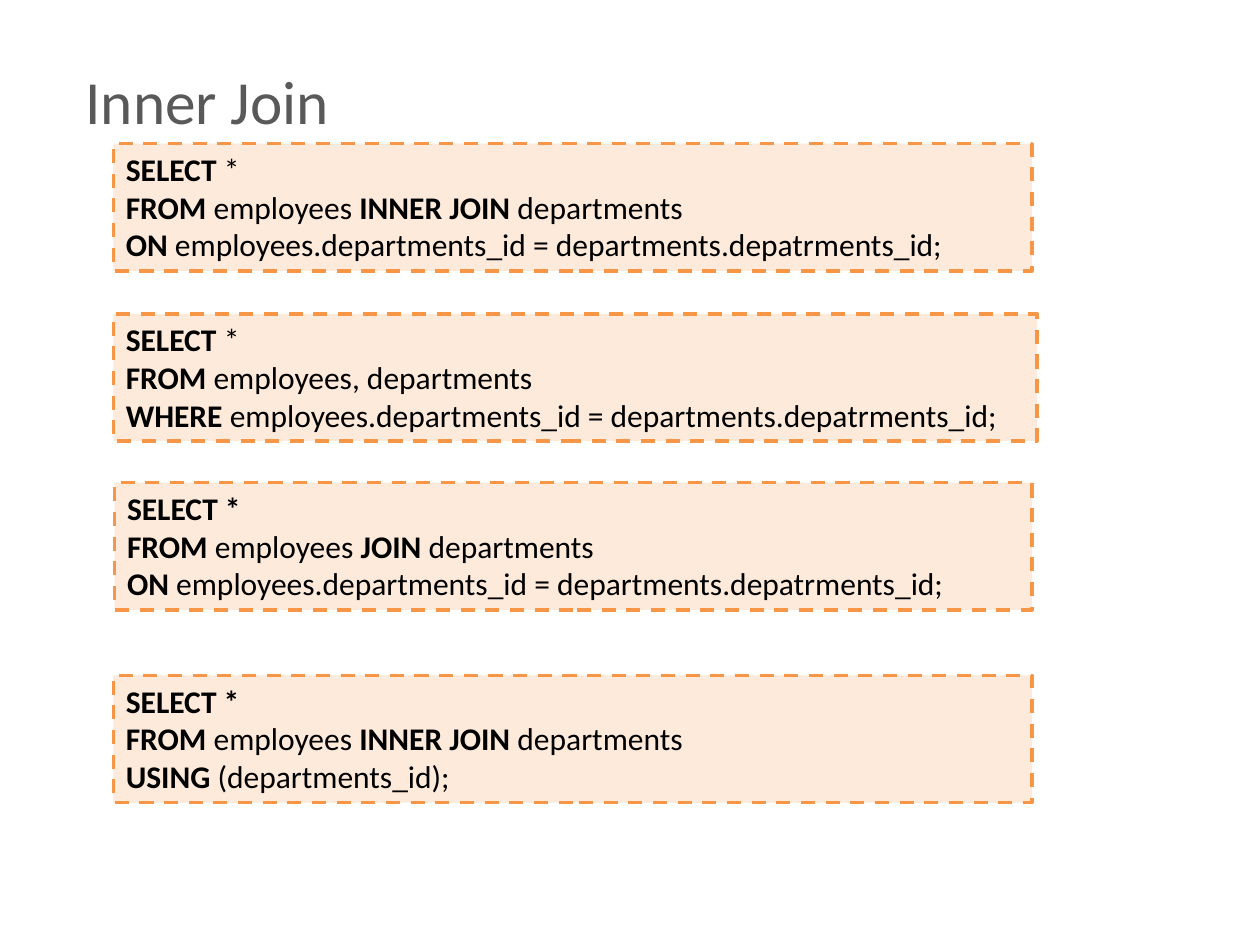
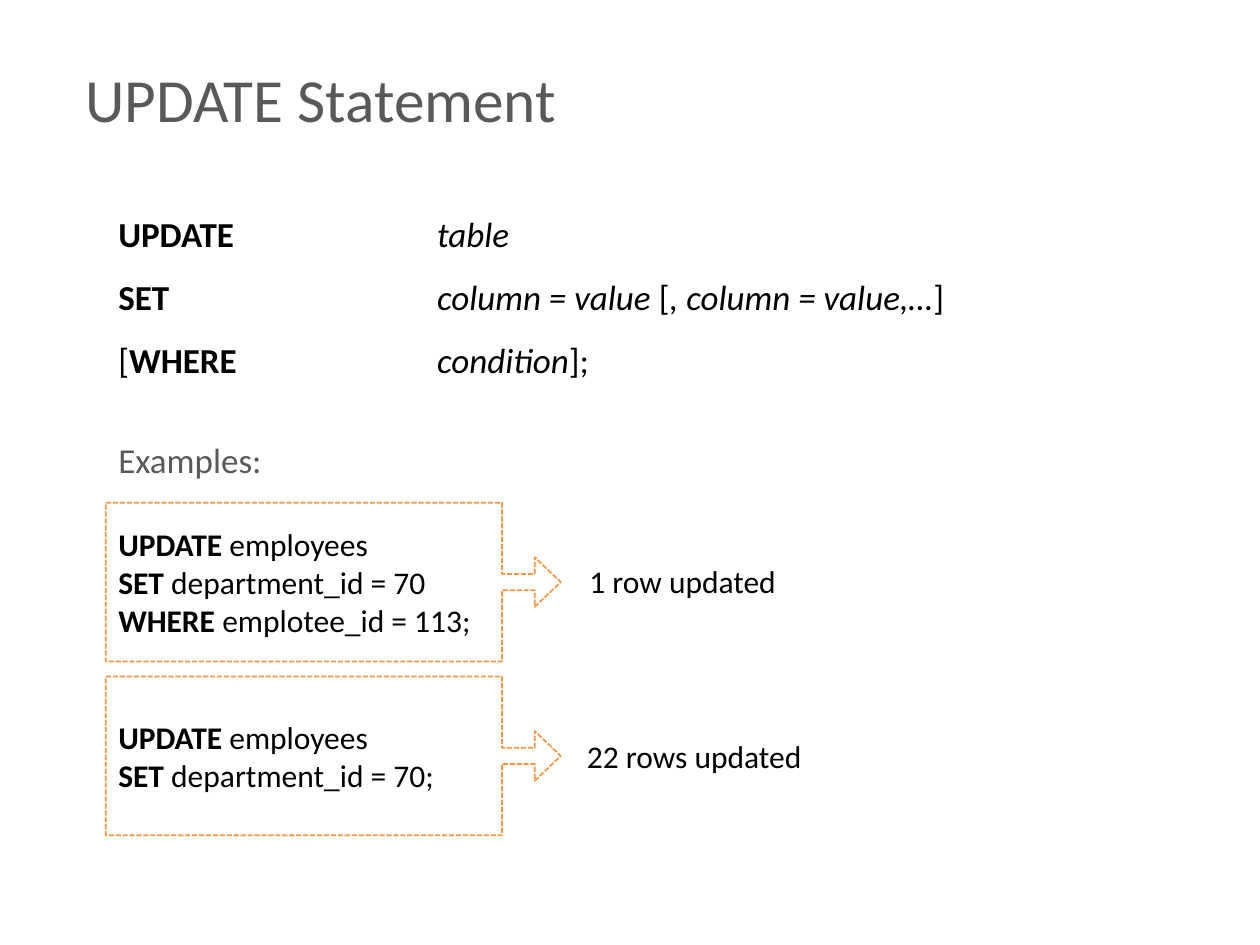
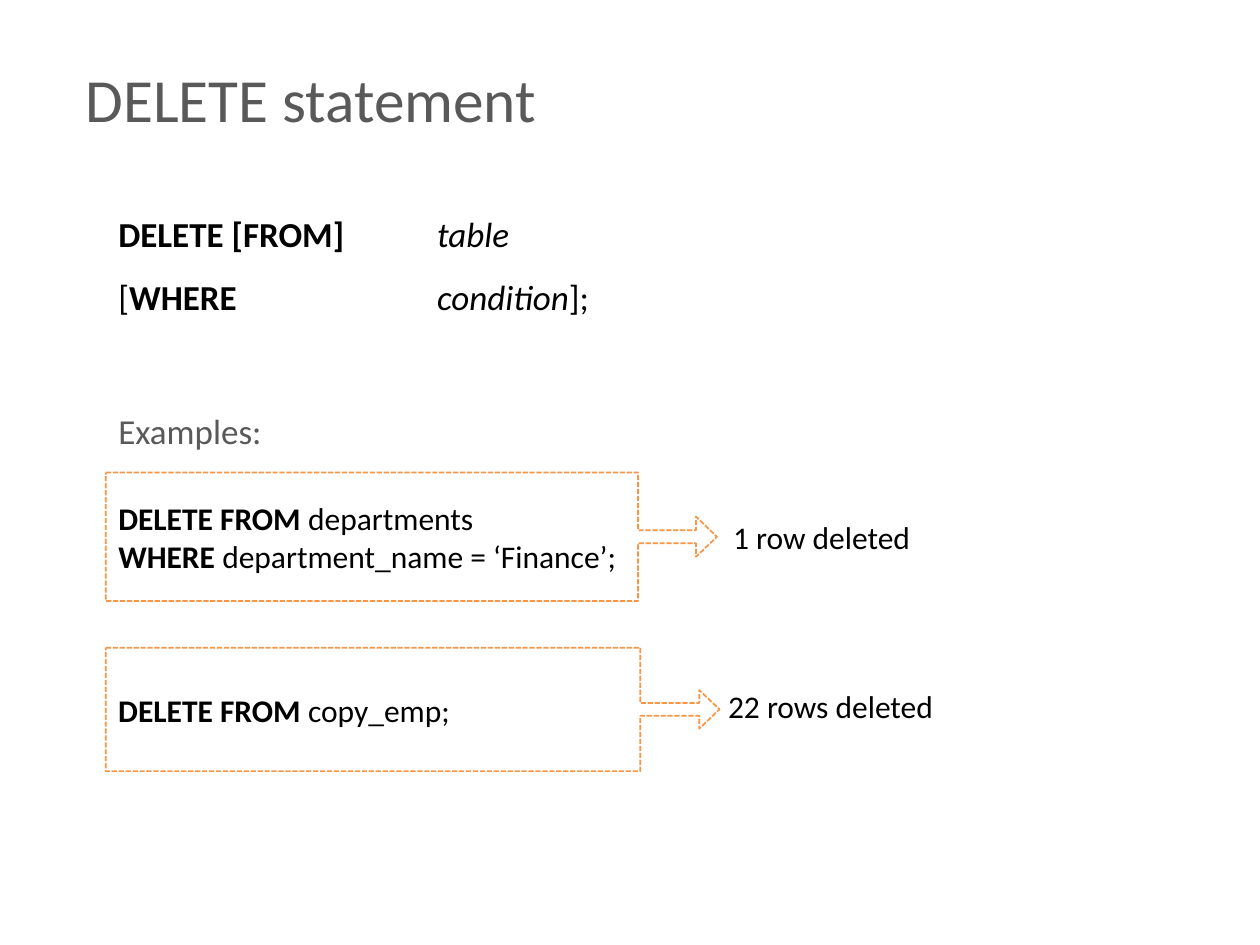
from dataclasses import dataclass
from typing import NamedTuple

from lxml import etree
from pptx import Presentation
from pptx.dml.color import RGBColor
from pptx.enum.dml import MSO_LINE
from pptx.enum.shapes import MSO_SHAPE
from pptx.enum.text import MSO_ANCHOR, MSO_AUTO_SIZE, PP_ALIGN
from pptx.oxml.ns import qn
from pptx.util import Emu, Pt

RECT = MSO_SHAPE.RECTANGLE
CALLOUT = MSO_SHAPE.RIGHT_ARROW_CALLOUT
DASH = MSO_LINE.DASH
SYS_DASH = MSO_LINE.SQUARE_DOT
TOP = MSO_ANCHOR.TOP
MIDDLE = MSO_ANCHOR.MIDDLE
LEFT = PP_ALIGN.LEFT
GROW = MSO_AUTO_SIZE.SHAPE_TO_FIT_TEXT
NO_FIT = MSO_AUTO_SIZE.NONE

PX = 9144
FONT = "Calibri"
COLORS = {
    "text": "000000",
    "heading": "595959",
    "accent": "F79646",
    "panel": "FDEADA",
    "paper": "FFFFFF",
}
TITLE_SIZE, SYNTAX_SIZE, CODE_SIZE = 35, 20, 18
CONTENT_LEFT = 84
SYNTAX_TOP, SYNTAX_WIDTH = 147, 708
TAB_STOP = 253
ARROW_ADJUSTMENTS = (0.103, 0.156, 0.163, 0.871)


class Span(NamedTuple):
    text: str
    bold: bool = False
    italic: bool = False


class Box(NamedTuple):
    left: int
    top: int
    width: int
    height: int


Line = list[Span]


@dataclass(frozen=True)
class Query:
    box: Box
    lines: list[Line]


@dataclass(frozen=True)
class Example:
    query: Query
    result: str
    result_left: int
    result_top: int


@dataclass(frozen=True)
class Statement:
    title: str
    title_width: int
    syntax: list[Line]
    syntax_height: int
    examples_top: int
    examples: list[Example]


def kw(text: str) -> Span:
    return Span(text, bold=True)


def var(text: str) -> Span:
    return Span(text, italic=True)


def rgb(name: str) -> RGBColor:
    return RGBColor.from_string(COLORS[name])


def emu(box: Box) -> list[Emu]:
    return [Emu(v * PX) for v in box]


def add_tab_stop(p) -> None:
    tabs = etree.SubElement(p._p.get_or_add_pPr(), qn("a:tabLst"))
    etree.SubElement(tabs, qn("a:tab"), pos=str(TAB_STOP * PX), algn="l")


def write(tf, lines: list[Line], size: int, color: str = "text", syntax: bool = False) -> None:
    for i, line in enumerate(lines):
        p = tf.add_paragraph() if i else tf.paragraphs[0]
        p.alignment = LEFT
        if syntax:
            p.line_spacing = 1.5
            add_tab_stop(p)
        for span in line:
            r = p.add_run()
            r.text = span.text
            r.font.name = FONT
            r.font.size = Pt(size)
            r.font.bold = span.bold
            r.font.italic = span.italic
            r.font.color.rgb = rgb(color)


def add_text(s, box: Box, lines: list[Line], size: int, color: str = "text",
             wrap: bool = True, syntax: bool = False) -> None:
    tf = s.shapes.add_textbox(*emu(box)).text_frame
    tf.word_wrap = wrap
    tf.auto_size = GROW
    write(tf, lines, size, color, syntax)


def add_query(s, query: Query, callout: bool) -> None:
    sp = s.shapes.add_shape(CALLOUT if callout else RECT, *emu(query.box))
    sp.shadow.inherit = False
    sp.fill.solid()
    sp.fill.fore_color.rgb = rgb("paper" if callout else "panel")
    sp.line.color.rgb = rgb("accent")
    sp.line.width = Pt(1 if callout else 2)
    sp.line.dash_style = SYS_DASH if callout else DASH
    if callout:
        for i, value in enumerate(ARROW_ADJUSTMENTS):
            sp.adjustments[i] = value
    tf = sp.text_frame
    tf.word_wrap = True
    tf.auto_size = NO_FIT if callout else GROW
    tf.vertical_anchor = MIDDLE if callout else TOP
    write(tf, query.lines, CODE_SIZE)


def add_titled_slide(prs, title: str, width: int, top: int = 44):
    s = prs.slides.add_slide(prs.slide_layouts[6])
    add_text(s, Box(58, top, width, 69), [[Span(title)]], TITLE_SIZE, "heading", wrap=False)
    return s


def add_statement(prs, statement: Statement) -> None:
    s = add_titled_slide(prs, statement.title, statement.title_width)
    add_text(s, Box(CONTENT_LEFT, SYNTAX_TOP, SYNTAX_WIDTH, statement.syntax_height),
             statement.syntax, SYNTAX_SIZE, syntax=True)
    add_text(s, Box(CONTENT_LEFT, statement.examples_top, 148, 44),
             [[Span("Examples:")]], SYNTAX_SIZE, "heading")
    for ex in statement.examples:
        add_text(s, Box(ex.result_left, ex.result_top, 220, 40), [[Span(ex.result)]], CODE_SIZE)
        add_query(s, ex.query, callout=True)


ID_MATCH = Span("employees.departments_id = departments.depatrments_id;")
SELECT_ALL = [kw("SELECT "), Span("*")]
SELECT_ALL_BOLD = [kw("SELECT *")]
INNER_JOIN = [kw("FROM "), Span("employees"), kw(" INNER JOIN "), Span("departments")]
WHERE_SYNTAX = [Span("["), kw("WHERE\t"), var("condition"), Span("];")]
UPDATE_EMPLOYEES = [kw("UPDATE "), Span("employees")]

JOINS = [
    Query(Box(90, 114, 729, 101), [SELECT_ALL, INNER_JOIN, [kw("ON "), ID_MATCH]]),
    Query(Box(90, 249, 733, 101), [
        SELECT_ALL,
        [kw("FROM "), Span("employees, departments")],
        [kw("WHERE "), ID_MATCH],
    ]),
    Query(Box(91, 383, 728, 101), [
        SELECT_ALL_BOLD,
        [kw("FROM "), Span("employees"), kw(" JOIN "), Span("departments")],
        [kw("ON "), ID_MATCH],
    ]),
    Query(Box(90, 536, 729, 101), [
        SELECT_ALL_BOLD,
        INNER_JOIN,
        [kw("USING "), Span("(departments_id);")],
    ]),
]

STATEMENTS = [
    Statement(
        "UPDATE Statement", 397,
        [
            [kw("UPDATE\t"), var("table")],
            [kw("SET\t"), var("column = value "), Span("["),
             var(", column = value,…"), Span("]")],
            WHERE_SYNTAX,
        ],
        162, 343,
        [
            Example(Query(Box(CONTENT_LEFT, 399, 361, 126), [
                UPDATE_EMPLOYEES,
                [kw("SET "), Span("department_id = 70")],
                [kw("WHERE "), Span("emplotee_id = 113;")],
            ]), "1 row updated", 458, 441),
            Example(Query(Box(CONTENT_LEFT, 537, 361, 126), [
                UPDATE_EMPLOYEES,
                [kw("SET "), Span("department_id = 70;")],
            ]), "22 rows updated", 456, 580),
        ],
    ),
    Statement(
        "DELETE statement", 381,
        [[kw("DELETE [FROM]\t"), var("table")], WHERE_SYNTAX],
        111, 320,
        [
            Example(Query(Box(CONTENT_LEFT, 375, 485, 102), [
                [kw("DELETE FROM "), Span("departments")],
                [kw("WHERE "), Span("department_name = ‘Finance’;")],
            ]), "1 row deleted", 572, 406),
            Example(Query(Box(CONTENT_LEFT, 514, 487, 98), [
                [kw("DELETE FROM "), Span("copy_emp;")],
            ]), "22 rows deleted", 568, 540),
        ],
    ),
]


def main() -> None:
    prs = Presentation()
    prs.slide_width = Emu(1000 * PX)
    prs.slide_height = Emu(750 * PX)
    s = add_titled_slide(prs, "Inner Join", 215, top=45)
    for query in JOINS:
        add_query(s, query, callout=False)
    for statement in STATEMENTS:
        add_statement(prs, statement)
    prs.save("out.pptx")


if __name__ == "__main__":
    main()
